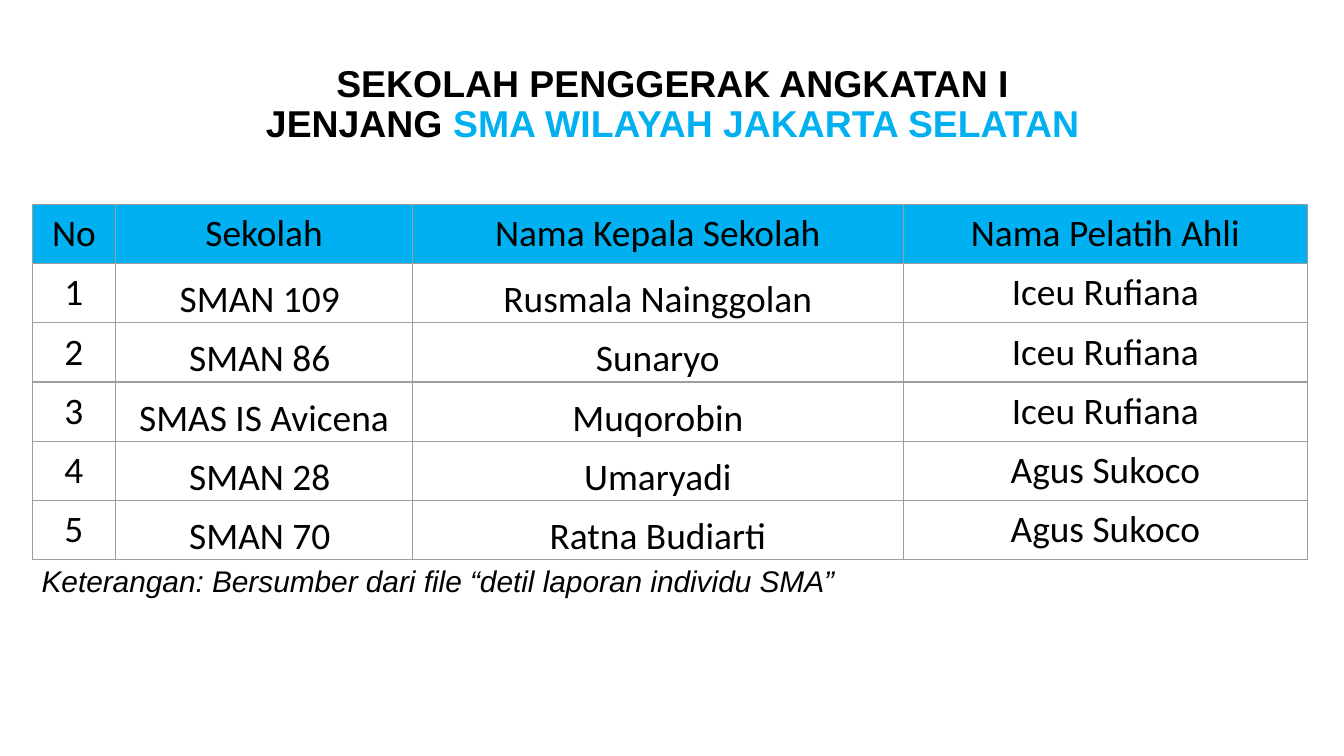
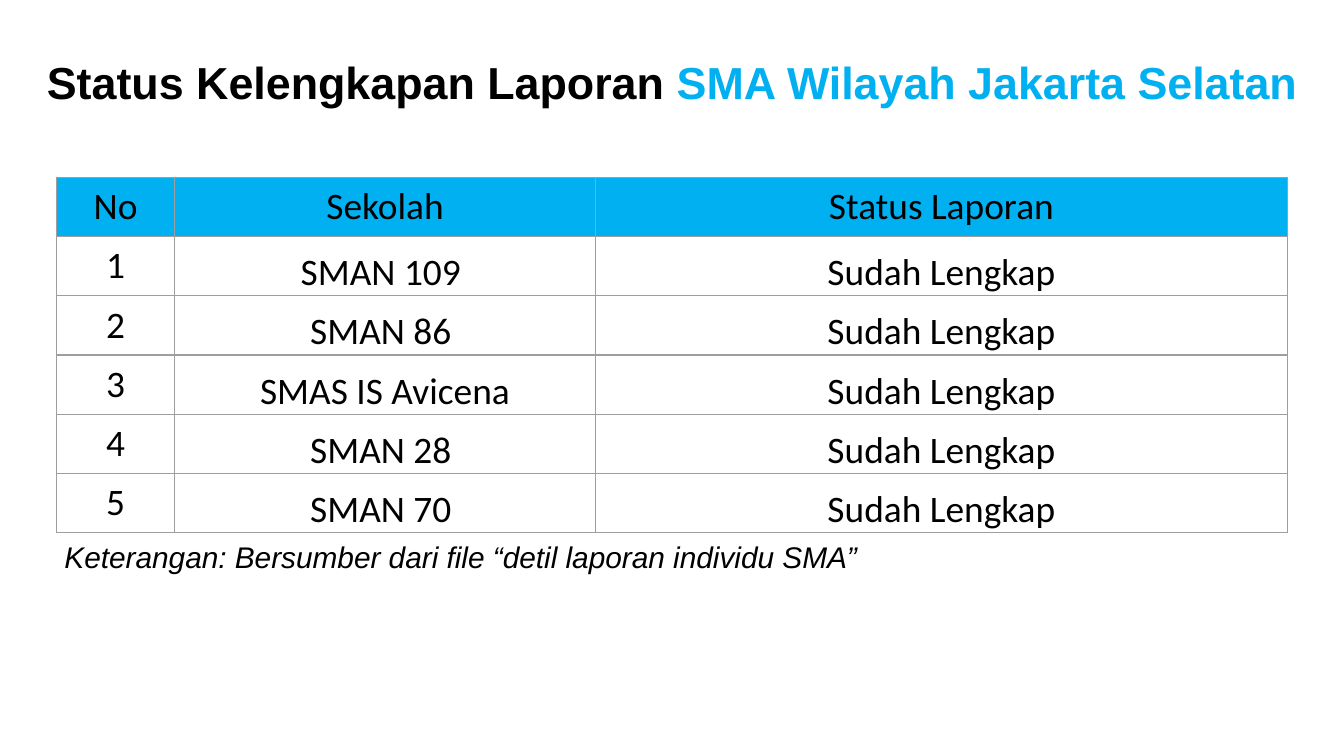
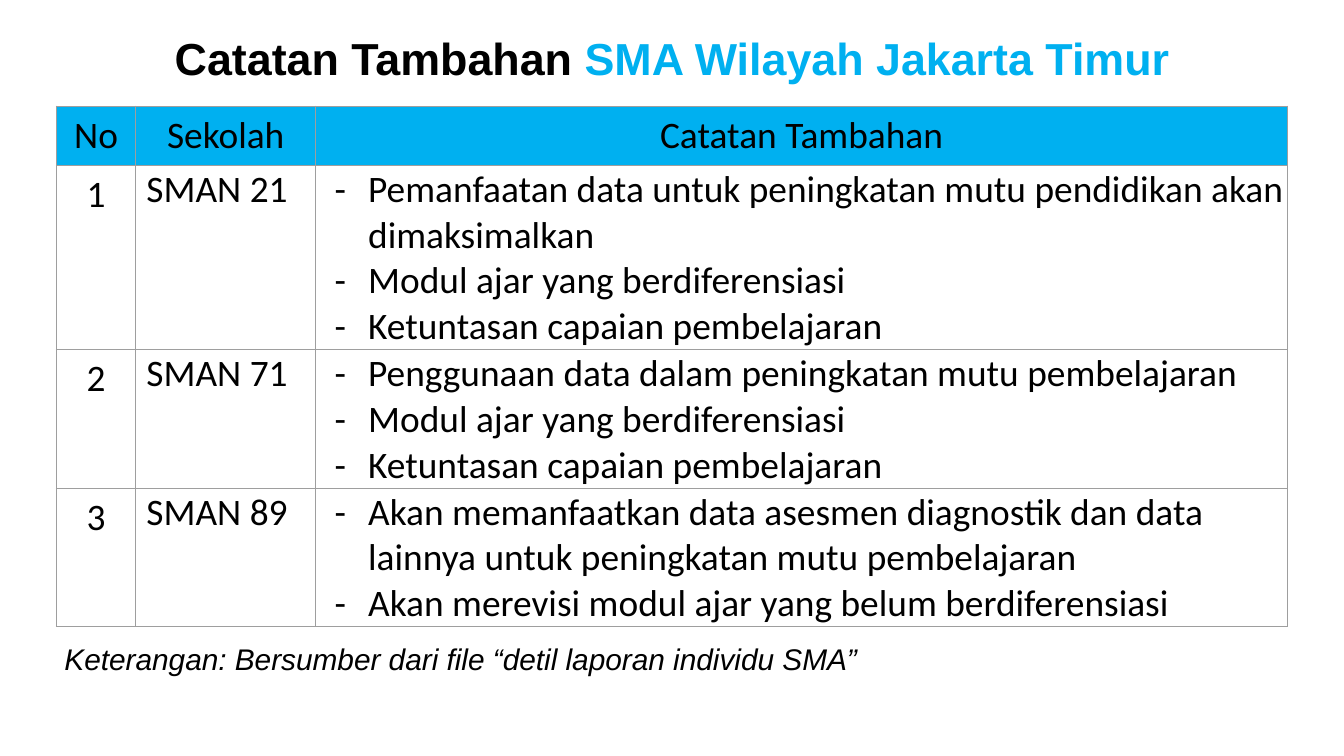
import dataclasses

import lxml.etree
import pptx
import pptx.dml.color
import pptx.enum.text
import pptx.oxml.ns
import pptx.util

Inches = pptx.util.Inches
ALIGN = pptx.enum.text.PP_ALIGN
ANCHOR = pptx.enum.text.MSO_ANCHOR

BLACK, SKY, GREY = "000000", "00B0F0", "9E9E9E"
HEADING_FONT, TABLE_FONT = "Arial", "Calibri"
ROW_HEIGHT = 0.44
NOTE = "Keterangan: Bersumber dari file “detil laporan individu SMA”"
TITLE_ONLY_LAYOUT = 5


@dataclasses.dataclass
class CellStyle:
    """Margins are left, top, right, bottom; indents are in inches."""
    margins: tuple = (0.1, 0.05, 0.1, 0.05)
    anchor: ANCHOR = ANCHOR.TOP
    align: ALIGN = ALIGN.CENTER
    left: float = 0
    indent: float = 0
    bullet: str = ""


TIGHT = (0.01, 0.01, 0.01, 0)
PADDED = CellStyle()
BOTTOM = CellStyle(TIGHT, ANCHOR.BOTTOM)
SCHOOL = CellStyle(TIGHT, align=ALIGN.LEFT, indent=0.07)
DASH_LIST = CellStyle(TIGHT, ANCHOR.BOTTOM, ALIGN.LEFT, 0.38, -0.25, "-")


def color(hex_string):
    return pptx.dml.color.RGBColor.from_string(hex_string)


def add_xml(parent, tag, **attributes):
    return lxml.etree.SubElement(parent, pptx.oxml.ns.qn(tag), attributes)


def write_text(paragraph, *runs, size=20, font=TABLE_FONT, bold=False,
               italic=False, align=ALIGN.LEFT, spacing=None):
    """Write runs given as (text, colour); a newline is a line break."""
    paragraph.alignment = align
    if spacing:
        paragraph.line_spacing = spacing
    for text, hex_string in runs:
        for index, line in enumerate(text.split("\n")):
            if index:
                paragraph.add_line_break()
            run = paragraph.add_run()
            run.text = line
            run.font.size = pptx.util.Pt(size)
            run.font.name = font
            run.font.bold = bold
            run.font.italic = italic
            run.font.color.rgb = color(hex_string)


def set_frame(shape, box):
    """Place a text shape in its box and return its first paragraph."""
    shape.left, shape.top, shape.width, shape.height = map(Inches, box)
    frame = shape.text_frame
    frame.word_wrap = True
    frame.auto_size = pptx.enum.text.MSO_AUTO_SIZE.NONE
    frame.vertical_anchor = ANCHOR.MIDDLE
    frame.margin_left = frame.margin_right = Inches(0.07)
    frame.margin_top = frame.margin_bottom = Inches(0.04)
    return frame.paragraphs[0]


def add_title(slide, box, plain, accent, size=24):
    write_text(set_frame(slide.shapes.title, box), (plain, BLACK), (accent, SKY),
               size=size, font=HEADING_FONT, bold=True, align=ALIGN.CENTER, spacing=0.9)


def add_note(slide, left, top):
    box = (left, top, 9.17, 0.44)
    shape = slide.shapes.add_textbox(*map(Inches, box))
    write_text(set_frame(shape, box), (NOTE, BLACK), size=16, font=HEADING_FONT,
               italic=True, spacing=0.9)


def set_borders(cell):
    properties = cell._tc.get_or_add_tcPr()
    for side in "LRTB":
        line = add_xml(properties, f"a:ln{side}", w=str(pptx.util.Pt(0.75)))
        add_xml(add_xml(line, "a:solidFill"), "a:srgbClr", val=GREY)


def set_indent(paragraph, style):
    properties = paragraph._p.get_or_add_pPr()
    properties.set("marL", str(Inches(style.left)))
    properties.set("indent", str(Inches(style.indent)))
    if style.bullet:
        add_xml(add_xml(properties, "a:buClr"), "a:srgbClr", val=BLACK)
        add_xml(properties, "a:buFont", typeface=TABLE_FONT)
        add_xml(properties, "a:buChar", char=style.bullet)


def fill_cell(cell, content, style, fill=None):
    """Content is a text, or a list with one text for each paragraph."""
    set_borders(cell)
    if fill:
        cell.fill.solid()
        cell.fill.fore_color.rgb = color(fill)
    else:
        cell.fill.background()
    (cell.margin_left, cell.margin_top,
     cell.margin_right, cell.margin_bottom) = map(Inches, style.margins)
    cell.vertical_anchor = style.anchor
    texts = [content] if isinstance(content, str) else content
    for index, text in enumerate(texts):
        frame = cell.text_frame
        paragraph = frame.add_paragraph() if index else frame.paragraphs[0]
        set_indent(paragraph, style)
        write_text(paragraph, (text, BLACK), align=style.align)


def add_school_table(slide, left, top, columns, records, heights=None):
    """Columns are (heading, width, style); the row number is added."""
    heights = [ROW_HEIGHT] + (heights or [ROW_HEIGHT] * len(records))
    headings, widths, styles = zip(*columns)
    table = slide.shapes.add_table(
        len(heights), len(columns), Inches(left), Inches(top),
        Inches(sum(widths)), Inches(sum(heights))).table
    table.horz_banding = False
    for column, width in zip(table.columns, widths):
        column.width = Inches(width)
    for row, height in zip(table.rows, heights):
        row.height = Inches(height)
    for index, heading in enumerate(headings):
        fill_cell(table.cell(0, index), heading, PADDED, SKY)
    for number, record in enumerate(records, 1):
        for index, content in enumerate((str(number), *record)):
            fill_cell(table.cell(number, index), content, styles[index])


SOUTH_SCHOOLS = [
    ("SMAN 109 ", "Rusmala Nainggolan", "Iceu Rufiana"),
    ("SMAN 86 ", "Sunaryo", "Iceu Rufiana"),
    ("SMAS IS Avicena", "Muqorobin", "Iceu Rufiana"),
    ("SMAN 28 ", "Umaryadi", "Agus Sukoco"),
    ("SMAN 70 ", "Ratna Budiarti", "Agus Sukoco"),
]
SHARED_NOTES = ["Modul ajar yang berdiferensiasi", "Ketuntasan capaian pembelajaran"]
EAST_NOTES = [
    ("SMAN 21", ["Pemanfaatan data untuk peningkatan mutu pendidikan akan dimaksimalkan",
                 *SHARED_NOTES]),
    ("SMAN 71", ["Penggunaan data dalam peningkatan mutu pembelajaran", *SHARED_NOTES]),
    ("SMAN 89", ["Akan memanfaatkan data asesmen diagnostik dan data lainnya "
                 "untuk peningkatan mutu pembelajaran",
                 "Akan merevisi modul ajar yang belum berdiferensiasi"]),
]


def build_schools(slide):
    add_title(slide, (0.42, 0.24, 9.17, 1.09),
              "SEKOLAH PENGGERAK ANGKATAN I\nJENJANG ",
              "SMA WILAYAH JAKARTA SELATAN", size=20)
    columns = [("No", 0.62, PADDED), ("Sekolah", 2.21, BOTTOM),
               ("Nama Kepala Sekolah", 3.65, BOTTOM), ("Nama Pelatih Ahli", 3.01, PADDED)]
    add_school_table(slide, 0.24, 1.52, columns, SOUTH_SCHOOLS)
    add_note(slide, 0.24, 4.12)


def build_status(slide):
    add_title(slide, (0, 0.4, 10, 0.46),
              "Status Kelengkapan Laporan ", "SMA Wilayah Jakarta Selatan")
    add_note(slide, 0.41, 3.94)
    columns = [("No", 0.88, PADDED), ("Sekolah", 3.13, BOTTOM),
               ("Status Laporan", 5.15, BOTTOM)]
    records = [(school, "Sudah Lengkap") for school, *_ in SOUTH_SCHOOLS]
    add_school_table(slide, 0.42, 1.32, columns, records)


def build_notes(slide):
    add_title(slide, (0, 0.22, 10, 0.46),
              "Catatan Tambahan ", "SMA Wilayah Jakarta Timur")
    add_note(slide, 0.41, 4.7)
    columns = [("No", 0.59, PADDED), ("Sekolah", 1.34, SCHOOL),
               ("Catatan Tambahan", 7.23, DASH_LIST)]
    add_school_table(slide, 0.42, 0.79, columns, EAST_NOTES, [1.37, 1.03, 1.03])


def main():
    presentation = pptx.Presentation()
    presentation.slide_width = Inches(10)
    presentation.slide_height = Inches(10 * 9 / 16)
    layout = presentation.slide_layouts[TITLE_ONLY_LAYOUT]
    for build in (build_schools, build_status, build_notes):
        build(presentation.slides.add_slide(layout))
    presentation.save("out.pptx")


if __name__ == "__main__":
    main()
